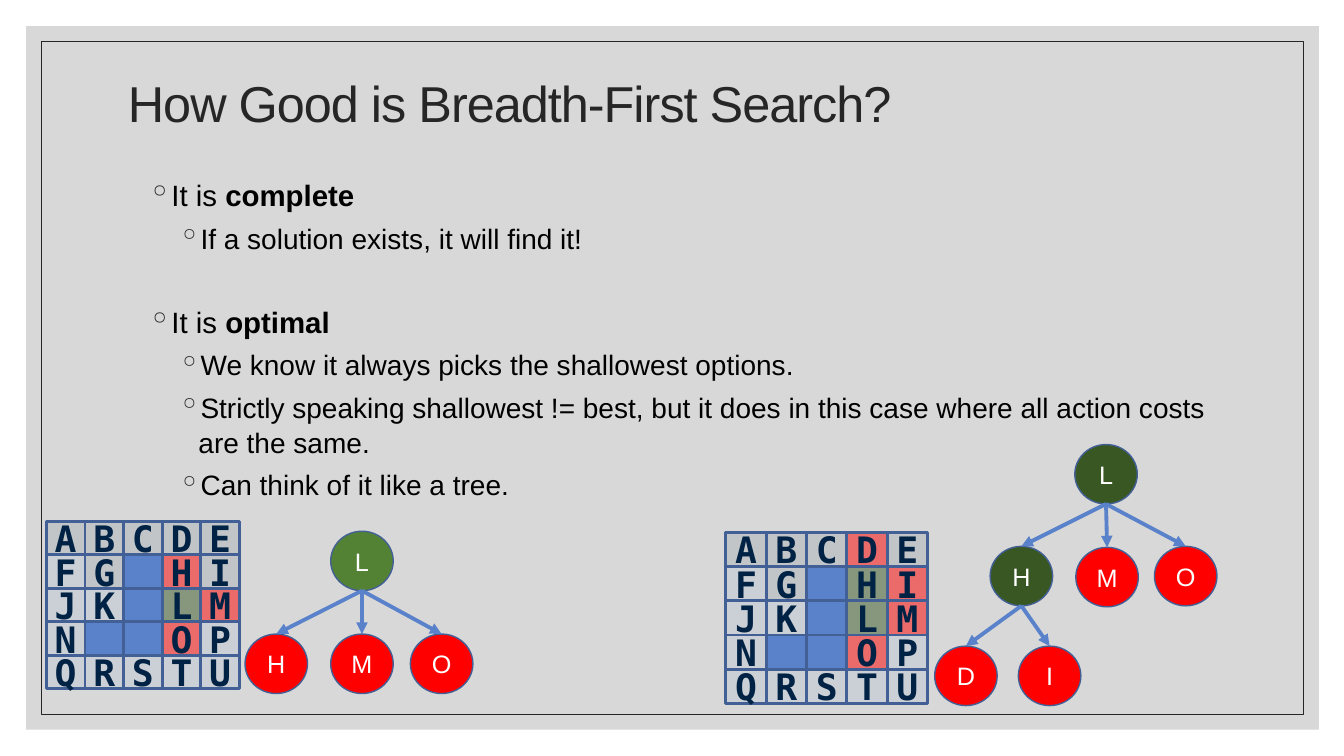
from dataclasses import dataclass
from typing import Optional

from lxml.etree import SubElement
from pptx import Presentation
from pptx.dml.color import RGBColor
from pptx.enum.shapes import MSO_CONNECTOR, MSO_SHAPE
from pptx.enum.text import MSO_ANCHOR, PP_ALIGN
from pptx.oxml.ns import qn
from pptx.util import Inches, Pt

BLACK = RGBColor(0x00, 0x00, 0x00)
WHITE = RGBColor(0xFF, 0xFF, 0xFF)
INK = RGBColor(0x26, 0x26, 0x26)
PANEL = RGBColor(0xBF, 0xBF, 0xBF)
NAVY = RGBColor(0x00, 0x22, 0x44)
BLUE = RGBColor(0x5A, 0x82, 0xCB)
OUTLINE = RGBColor(0x43, 0x60, 0x96)
RED = RGBColor(0xFF, 0x00, 0x00)
GREEN = RGBColor(0x54, 0x82, 0x35)
DARK_GREEN = RGBColor(0x38, 0x57, 0x23)

MAZE_ROWS = ("ABCDE", "FG HI", "JK LM", "N  OP", "QRSTU")
NAVY_TINTED = "ABCDEGI"
NODE_WIDTH, NODE_HEIGHT = 0.62, 0.59


@dataclass
class Maze:
    left: float
    top: float
    cell_width: float
    cell_height: float
    explored: str
    frontier: str


@dataclass
class Node:
    letter: str
    left: float
    top: float
    color: RGBColor
    parent: Optional[str] = None


@dataclass
class Bullet:
    level: int
    text: str
    bold_text: str = ""
    space_before: float = 5


MAZES = (
    Maze(0.46, 5.17, 0.383, 0.333, explored="L", frontier="HMO"),
    Maze(7.2, 5.28, 0.4, 0.34, explored="HL", frontier="DIMO"),
)

TREES = (
    (
        Node("L", 3.28, 5.27, GREEN),
        Node("H", 2.43, 6.29, RED, "L"),
        Node("M", 3.28, 6.29, RED, "L"),
        Node("O", 4.07, 6.29, RED, "L"),
    ),
    (
        Node("L", 10.66, 4.41, DARK_GREEN),
        Node("H", 9.82, 5.42, DARK_GREEN, "L"),
        Node("M", 10.67, 5.43, RED, "L"),
        Node("O", 11.45, 5.42, RED, "L"),
        Node("D", 9.27, 6.41, RED, "H"),
        Node("I", 10.1, 6.41, RED, "H"),
    ),
)

BULLETS = (
    Bullet(1, "It is ", "complete", space_before=0),
    Bullet(2, "If a solution exists, it will find it!"),
    Bullet(1, "It is ", "optimal", space_before=34),
    Bullet(2, "We know it always picks the shallowest options."),
    Bullet(2, "Strictly speaking shallowest != best, but it does in this case "
              "where all action costs are the same."),
    Bullet(2, "Can think of it like a tree."),
)


def add_run(paragraph, text: str, *, size: float, color: RGBColor,
            font: str = "Arial", bold: bool = False, spacing: float = 0) -> None:
    run = paragraph.add_run()
    run.text = text
    run.font.name = font
    run.font.size = Pt(size)
    run.font.bold = bold
    run.font.color.rgb = color
    if spacing:
        run.font._element.set("spc", str(round(spacing * 100)))


def add_box(shapes, kind, left: float, top: float, width: float, height: float, *,
            fill: Optional[RGBColor] = None, opacity: int = 100,
            line: Optional[RGBColor] = None, line_width: float = 1):
    shape = shapes.add_shape(kind, Inches(left), Inches(top), Inches(width), Inches(height))
    shape.shadow.inherit = False
    if fill is None:
        shape.fill.background()
    else:
        shape.fill.solid()
        shape.fill.fore_color.rgb = fill
        if opacity < 100:
            color = shape.fill._xPr.find(qn("a:solidFill"))[0]
            SubElement(color, qn("a:alpha")).set("val", str(opacity * 1000))
    if line is None:
        shape.line.fill.background()
    else:
        shape.line.color.rgb = line
        shape.line.width = Pt(line_width)
    return shape


def add_letter(shape, letter: str, **format) -> None:
    frame = shape.text_frame
    frame.margin_left = frame.margin_right = frame.margin_top = frame.margin_bottom = 0
    frame.vertical_anchor = MSO_ANCHOR.MIDDLE
    frame.paragraphs[0].alignment = PP_ALIGN.CENTER
    add_run(frame.paragraphs[0], letter, **format)


def add_text_frame(slide, left: float, top: float, width: float, height: float, anchor):
    frame = slide.shapes.add_textbox(
        Inches(left), Inches(top), Inches(width), Inches(height)).text_frame
    frame.word_wrap = True
    frame.vertical_anchor = anchor
    return frame


def add_bullet(paragraph, bullet: Bullet) -> None:
    properties = paragraph._p.get_or_add_pPr()
    properties.set("marL", str(Inches(0.2 + 0.3 * bullet.level)))
    properties.set("indent", str(Inches(-0.2)))
    color = SubElement(properties, qn("a:buClr"))
    SubElement(color, qn("a:srgbClr")).set("val", str(INK))
    SubElement(properties, qn("a:buChar")).set("char", "◦")
    paragraph.level = bullet.level
    paragraph.line_spacing = 1.05
    paragraph.space_before = Pt(bullet.space_before)
    size = 22 - bullet.level
    add_run(paragraph, bullet.text, size=size, color=BLACK)
    if bullet.bold_text:
        add_run(paragraph, bullet.bold_text, size=size, color=BLACK, bold=True)


def cell_fill(maze: Maze, letter: str) -> tuple[RGBColor, int]:
    if letter == " ":
        return BLUE, 100
    if letter in maze.explored:
        return DARK_GREEN, 50
    if letter in maze.frontier:
        return RED, 50
    return (NAVY if letter in NAVY_TINTED else BLUE), 10


def add_maze(slide, maze: Maze) -> None:
    shapes = slide.shapes.add_group_shape().shapes
    for row, letters in enumerate(MAZE_ROWS):
        for column, letter in enumerate(letters):
            fill, opacity = cell_fill(maze, letter)
            cell = add_box(shapes, MSO_SHAPE.RECTANGLE,
                           maze.left + column * maze.cell_width,
                           maze.top + row * maze.cell_height,
                           maze.cell_width, maze.cell_height,
                           fill=fill, opacity=opacity, line=OUTLINE, line_width=2)
            if letter != " ":
                add_letter(cell, letter, size=26, color=NAVY,
                           font="DejaVu Sans Mono", bold=True)


def add_arrow(shapes, parent, child) -> None:
    arrow = shapes.add_connector(
        MSO_CONNECTOR.STRAIGHT, parent.left + parent.width // 2, parent.top + parent.height,
        child.left + child.width // 2, child.top)
    arrow.end_connect(child, 0)
    arrow.line.color.rgb = BLUE
    arrow.line.width = Pt(2.75)
    SubElement(arrow.line._get_or_add_ln(), qn("a:tailEnd")).set("type", "triangle")
    SubElement(arrow._element.spPr, qn("a:effectLst"))


def add_tree(slide, nodes: tuple[Node, ...]) -> None:
    shapes = slide.shapes.add_group_shape().shapes
    circles = {}
    for node in nodes:
        circle = add_box(shapes, MSO_SHAPE.OVAL, node.left, node.top, NODE_WIDTH, NODE_HEIGHT,
                         fill=node.color, line=OUTLINE)
        add_letter(circle, node.letter, size=18, color=WHITE)
        circles[node.letter] = circle
        if node.parent:
            add_arrow(shapes, circles[node.parent], circle)


def main() -> None:
    presentation = Presentation()
    presentation.slide_width, presentation.slide_height = Inches(13.33), Inches(7.5)
    slide = presentation.slides.add_slide(presentation.slide_layouts[6])

    # Background panel and frame
    add_box(slide.shapes, MSO_SHAPE.RECTANGLE, 0.26, 0.26, 12.82, 6.98, fill=PANEL, opacity=60)
    add_box(slide.shapes, MSO_SHAPE.RECTANGLE, 0.41, 0.41, 12.52, 6.68, line=INK, line_width=0.5)

    # Title
    title = add_text_frame(slide, 1.17, 0.41, 11, 1.28, MSO_ANCHOR.MIDDLE).paragraphs[0]
    title.line_spacing = 0.9
    add_run(title, "How Good is Breadth-First Search?", size=36, color=INK, spacing=-0.7)

    # Bullets
    body = add_text_frame(slide, 1.07, 1.69, 11, 4.82, MSO_ANCHOR.TOP)
    for index, bullet in enumerate(BULLETS):
        add_bullet(body.add_paragraph() if index else body.paragraphs[0], bullet)

    # Mazes and search trees
    for maze, tree in zip(MAZES, TREES):
        add_maze(slide, maze)
        add_tree(slide, tree)

    presentation.save("out.pptx")


if __name__ == "__main__":
    main()
